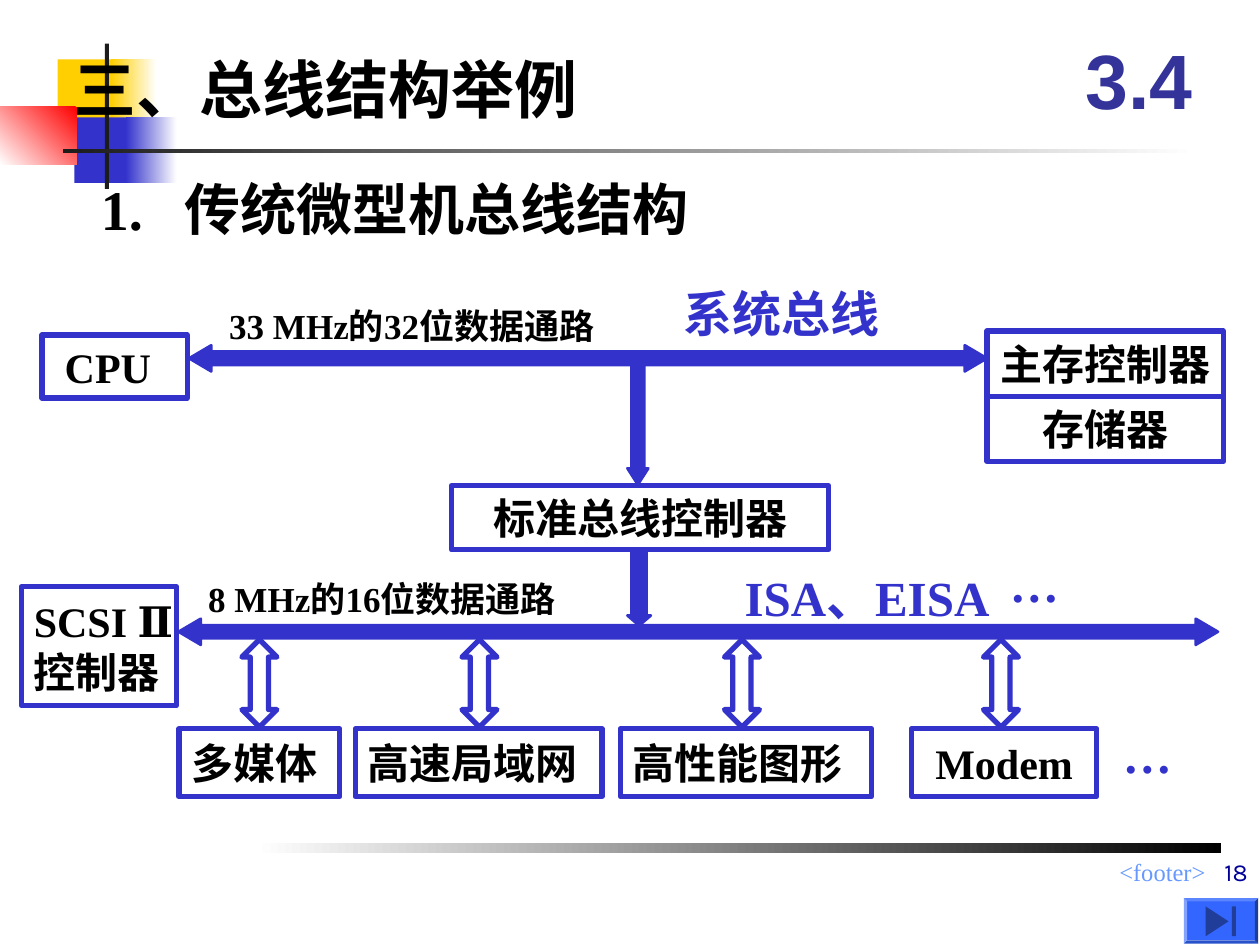
from lxml import etree
from pptx import Presentation
from pptx import util as u
from pptx.dml import color
from pptx.enum import shapes, text
from pptx.oxml import ns

BLUE = "3333CC"
BLACK = "000000"
WHITE = "FFFFFF"
SERIF = "Times New Roman"
CJK = "Noto Sans CJK SC"
KIND = shapes.MSO_SHAPE
ALIGN = text.PP_ALIGN
ANCHOR = text.MSO_ANCHOR


def rgb(value):
    """Turn a hex string into a colour."""
    return color.RGBColor.from_string(value)


def set_values(target, values):
    """Set every attribute named in a dict."""
    for name, value in values.items():
        setattr(target, name, value)


def paint(shape, fill=None, line=None, weight=3):
    """Give a shape its solid fill and outline, without a shadow."""
    shape.shadow.inherit = False
    if fill:
        shape.fill.solid()
        shape.fill.fore_color.rgb = rgb(fill)
    else:
        shape.fill.background()
    if line:
        shape.line.color.rgb = rgb(line)
        shape.line.width = u.Pt(weight)
    else:
        shape.line.fill.background()


def add_preset(slide, kind, frame, fill=None, line=None, weight=3, adjustments=()):
    """Add a preset shape with its adjustments."""
    shape = slide.shapes.add_shape(kind, *map(u.Pt, frame))
    for index, value in enumerate(adjustments):
        shape.adjustments[index] = value
    paint(shape, fill, line, weight)
    return shape


def add_fade(slide, frame, start, end, angle=0):
    """Add a rectangle that fades from one colour to another."""
    shape = add_preset(slide, KIND.RECTANGLE, frame)
    shape.fill.gradient()
    shape.fill.gradient_angle = angle
    for stop, value in zip(shape.fill.gradient_stops, (start, end)):
        stop.color.rgb = rgb(value)


def write(frame, lines, size, ink=BLACK, font=SERIF, bold=True, align=ALIGN.LEFT, tab=None):
    """Write the lines into a text frame, one paragraph each."""
    for index, line in enumerate(lines):
        paragraph = frame.add_paragraph() if index else frame.paragraphs[0]
        paragraph.alignment = align
        if tab:
            stops = etree.SubElement(paragraph._p.get_or_add_pPr(), ns.qn("a:tabLst"))
            etree.SubElement(stops, ns.qn("a:tab"), pos=str(u.Pt(tab)), algn="l")
        run = paragraph.add_run()
        run.text = line
        set_values(run.font, {"size": u.Pt(size), "bold": bold, "name": font})
        run.font.color.rgb = rgb(ink)
        etree.SubElement(run.font._element, ns.qn("a:ea"), typeface=CJK)


def add_label(slide, frame, content, size, inset=0, anchor=ANCHOR.TOP, **style):
    """Add a text box with one line of text."""
    text_frame = slide.shapes.add_textbox(*map(u.Pt, frame)).text_frame
    set_values(text_frame, {
        "margin_left": u.Pt(inset), "margin_right": u.Pt(inset),
        "margin_top": u.Pt(inset / 2), "margin_bottom": u.Pt(inset / 2),
        "word_wrap": True, "vertical_anchor": anchor,
    })
    write(text_frame, [content], size, **style)


def add_unit(slide, frame, lines, inset=0, align=ALIGN.LEFT):
    """Add an outlined box that names a hardware unit."""
    shape = add_preset(slide, KIND.RECTANGLE, frame, line=BLUE)
    set_values(shape.text_frame, {
        "margin_left": u.Pt(inset), "margin_right": 0, "margin_top": 0,
        "margin_bottom": 0, "word_wrap": True, "vertical_anchor": ANCHOR.MIDDLE,
    })
    write(shape.text_frame, lines, 24, align=align)


def add_decoration(slide):
    """Add the coloured blocks and the fading rules."""
    add_preset(slide, KIND.RECTANGLE, (33, 34, 34.5, 37.5), "FFCF01")
    add_fade(slide, (63.5, 34, 26, 37.5), "FFCF01", WHITE)
    add_preset(slide, KIND.RECTANGLE, (42.5, 67, 33, 37.5), BLUE)
    add_fade(slide, (72, 67, 29, 37.5), BLUE, WHITE)
    add_fade(slide, (0, 61, 44, 33), "FF0000", WHITE, 225)
    add_preset(slide, KIND.RECTANGLE, (60, 25, 2.2, 83), "1C1C1C")
    add_fade(slide, (36, 85, 648, 2.2), "1C1C1C", WHITE)
    add_fade(slide, (145.5, 481.5, 552, 6), WHITE, BLACK)


def add_end_button(slide):
    """Add the bevelled button with its triangle and bar."""
    add_preset(slide, KIND.BEVEL, (676.5, 513.25, 42.5, 26), "3366FF", adjustments=[0.07])
    builder = slide.shapes.build_freeform(u.Pt(689), u.Pt(518))
    builder.add_line_segments([(u.Pt(702), u.Pt(526.5)), (u.Pt(689), u.Pt(535))])
    paint(builder.convert_to_shape(), "1F3D99")
    add_preset(slide, KIND.RECTANGLE, (704, 518, 2.2, 17), "1F3D99")


def add_buses(slide):
    """Add the two buses and the arrows that lead down to them."""
    arrows = (
        (KIND.DOWN_ARROW, (358.5, 314.5, 13.5, 43), (0.64, 0.43)),
        (KIND.DOWN_ARROW, (358.5, 205, 12, 72), (0.62, 0.78)),
        (KIND.LEFT_RIGHT_ARROW, (108, 197.25, 456, 15), (0.52, 0.85)),
        (KIND.LEFT_RIGHT_ARROW, (102, 353.5, 594, 15), (0.5, 0.85)),
    )
    for kind, frame, adjustments in arrows:
        add_preset(slide, kind, frame, BLUE, BLUE, 1.5, adjustments)


def add_units(slide):
    """Add the controllers and the devices under the lower bus."""
    add_unit(slide, (24, 191.5, 83, 36), ["CPU"], 13)
    add_unit(slide, (12.25, 335.25, 88.5, 68), ["SCSI Ⅱ", "控制器"], 7.2)
    for frame, name in (
        ((564, 189.25, 135, 37.25), "主存控制器"),
        ((564, 226.5, 135, 37.25), "存储器"),
        ((258, 277.5, 215.5, 36.75), "标准总线控制器"),
    ):
        add_unit(slide, frame, [name], align=ALIGN.CENTER)
    devices = (
        ("多媒体", 102.25, 92, 148.25, ALIGN.LEFT),
        ("高速局域网", 203, 141, 274, ALIGN.LEFT),
        ("高性能图形", 354.5, 143.5, 424, ALIGN.LEFT),
        ("Modem", 520.75, 106, 572, ALIGN.CENTER),
    )
    for name, left, width, center, align in devices:
        inset = 7.2 if align == ALIGN.LEFT else 0
        add_unit(slide, (left, 416.5, width, 38.75), [name], inset, align)
        add_preset(slide, KIND.UP_DOWN_ARROW, (center - 10, 365.5, 20, 50),
                   line=BLUE, adjustments=(0.5, 0.52))


def add_labels(slide):
    """Add the headings, the bus labels and the footer."""
    add_label(slide, (50.5, 96, 360, 46), "1.\t传统微型机总线结构", 32, 7.2, tab=48)
    add_label(slide, (35, 25.5, 315, 50.5), "三、总线结构举例", 36, 7.2)
    add_label(slide, (606, 12, 90, 66), "3.4", 44, 7.2, ANCHOR.MIDDLE,
              ink="333399", font="Arial", align=ALIGN.CENTER)
    add_label(slide, (131, 174, 235, 24), "33 MHz的32位数据通路", 20)
    add_label(slide, (119, 330, 225, 24), "8 MHz的16位数据通路", 20)
    add_label(slide, (390.5, 162, 122, 34), "系统总线", 28, ink=BLUE)
    add_label(slide, (425.5, 324, 170, 34), "ISA、EISA", 28, ink=BLUE)
    for left, top in ((570, 313), (634.5, 410.5)):
        add_label(slide, (left, top, 48, 41), "…", 28, 7.2, ink=BLUE)
    add_label(slide, (282, 486, 414, 19), "<footer>", 14, 7.2,
              ink="6699FF", bold=False, align=ALIGN.RIGHT)
    add_label(slide, (375, 474, 345, 36), "18", 14, 7.2, ANCHOR.BOTTOM,
              ink="000099", font="Karla", bold=False, align=ALIGN.RIGHT)


def main():
    """Build the bus structure slide and save it."""
    presentation = Presentation()
    set_values(presentation, {"slide_width": u.Pt(720), "slide_height": u.Pt(540)})
    slide = presentation.slides.add_slide(presentation.slide_layouts[6])
    add_decoration(slide)
    add_end_button(slide)
    add_buses(slide)
    add_units(slide)
    add_labels(slide)
    presentation.save("out.pptx")


if __name__ == "__main__":
    main()
